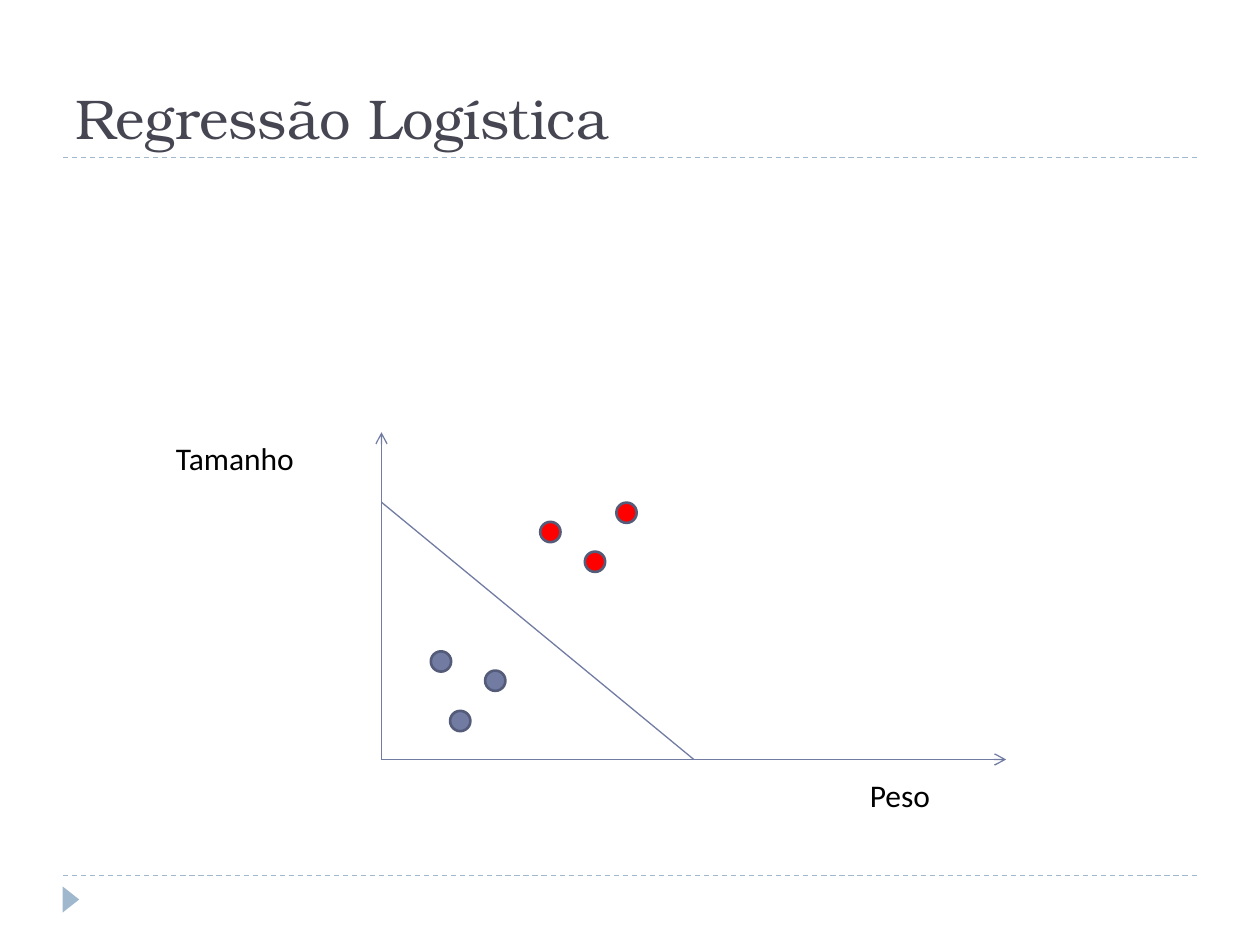
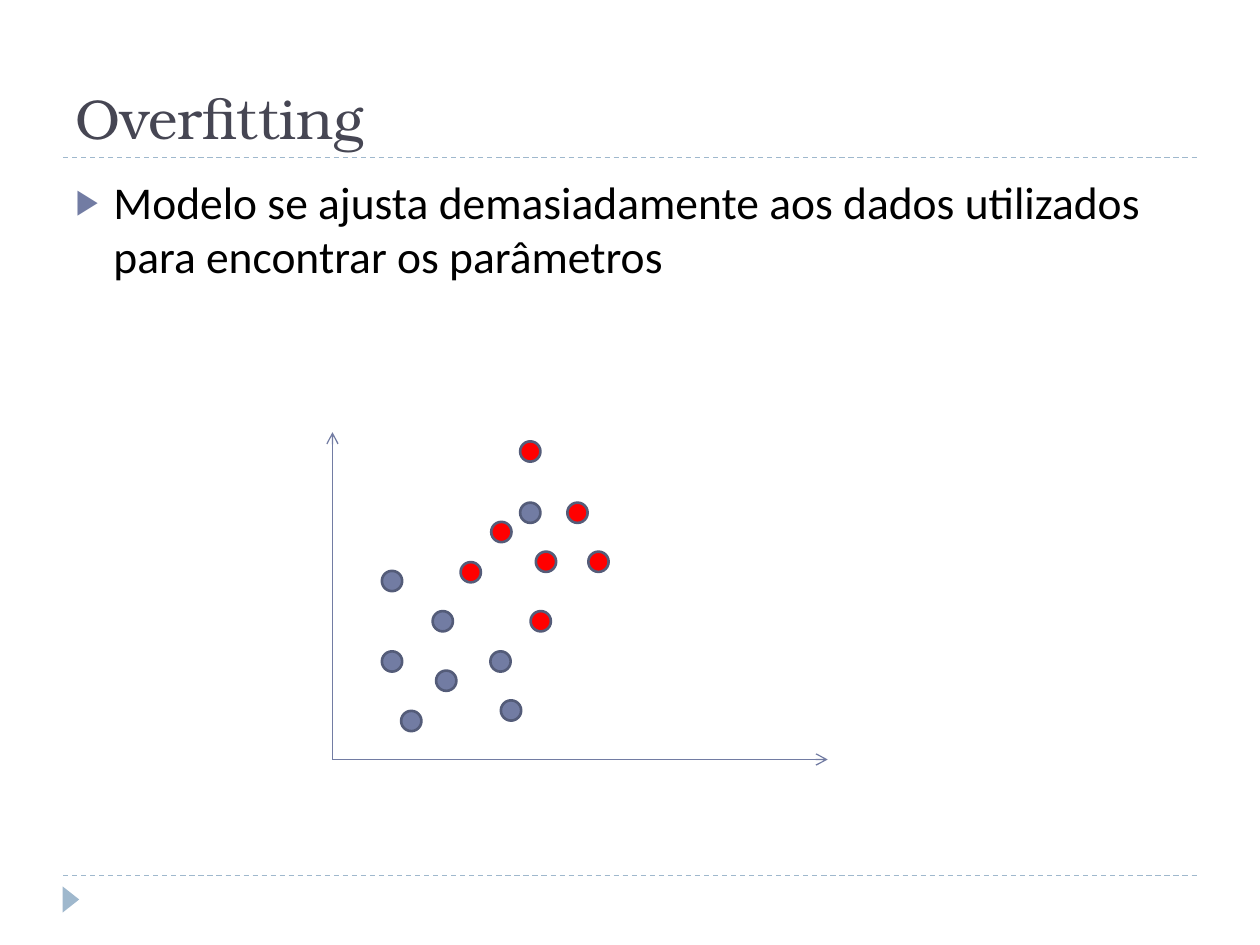
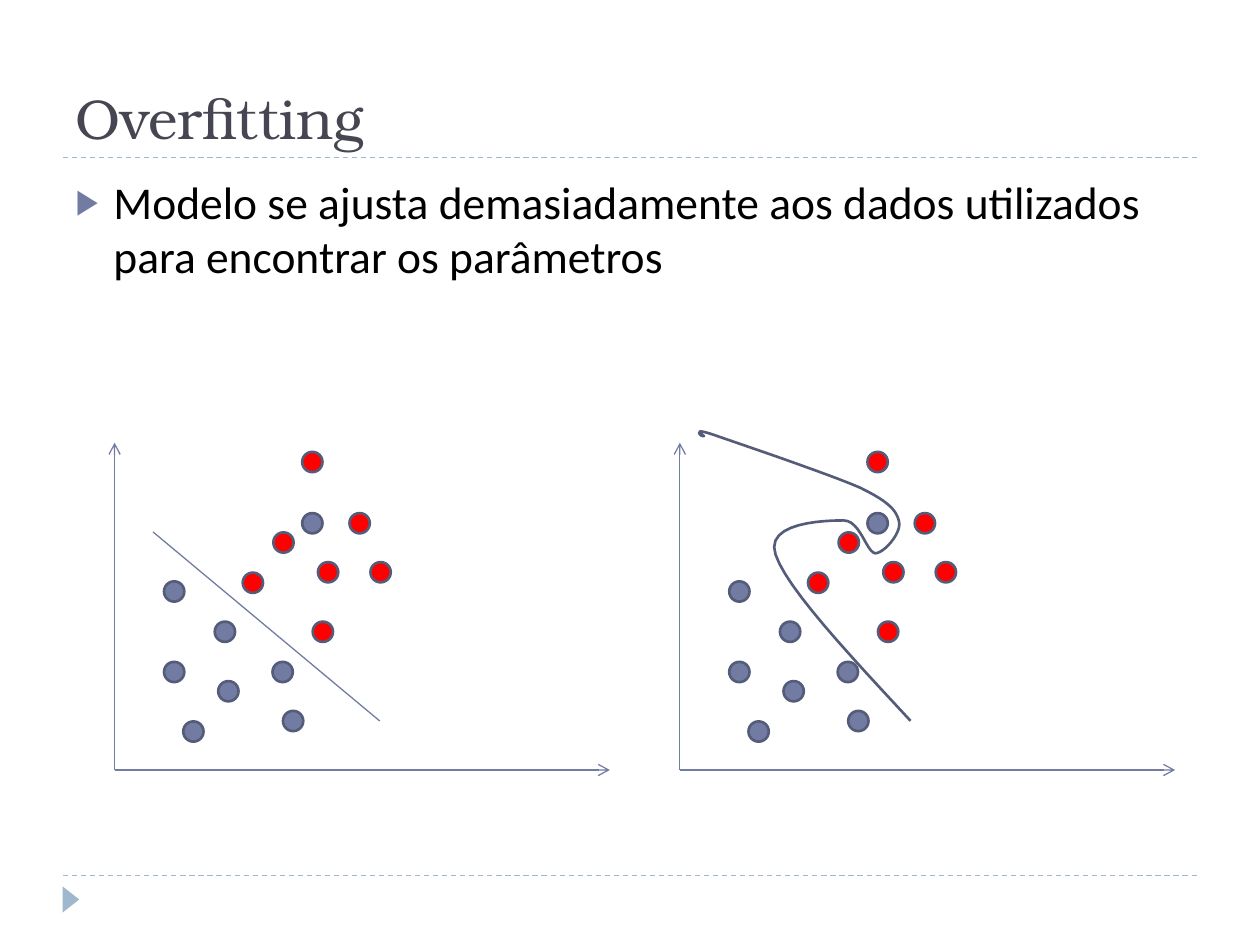
from dataclasses import dataclass

from lxml.etree import SubElement
from pptx import Presentation
from pptx.dml.color import RGBColor
from pptx.enum.dml import MSO_LINE
from pptx.enum.shapes import MSO_CONNECTOR, MSO_SHAPE
from pptx.enum.text import MSO_ANCHOR, MSO_AUTO_SIZE, PP_ALIGN
from pptx.oxml.ns import qn
from pptx.util import Pt


@dataclass(frozen=True)
class Theme:
    title_ink: str = "464653"
    text_ink: str = "000000"
    accent: str = "727CA3"
    outline: str = "545C79"
    trim: str = "9FB8CD"
    positive: str = "FF0000"
    title_font: str = "TeX Gyre Bonum"
    text_font: str = "Calibri"
    title_size: float = 32
    body_size: float = 26
    label_size: float = 18
    thin: float = 0.75
    thick: float = 1.5


THEME = Theme()

# Points are (x, y) from the origin of the axes, y upwards.
NEGATIVES = [(34, 56), (45, 22), (65, 45), (63, 79), (102, 28), (34, 102), (96, 56), (113, 141)]
POSITIVES = [(96.5, 130), (122, 113), (140, 141), (152, 113), (119, 79), (113, 176), (79, 107)]
OVERFIT_START = (131.8, 28.1)
OVERFIT_CURVES = [
    [(96.5, 66.2), (61.2, 103.7), (54.7, 123.1)],
    [(48.2, 141.8), (83.5, 142.6), (93.6, 142.6)],
    [(103, 142.6), (106.6, 124.6), (111.6, 123.8)],
    [(116.6, 123.8), (126.7, 135.4), (125.3, 141.8)],
    [(123.8, 147.6), (121, 152.6), (103, 161.3)],
    [(85, 169.2), (33.8, 186.5), (19.4, 191.5)],
    [(4.3, 196.6), (15.1, 190.1), (13.7, 190.8)],
    [(12.2, 190.8), (11.5, 191.5), (10.8, 193)],
]
OVERFITTING = "Modelo se ajusta demasiadamente aos dados utilizados para encontrar os parâmetros"

SLIDES = [
    {
        "title": "Regressão Logística",
        "plots": [{"origin": (218, 434), "width": 357, "per_class": 3,
                   "boundary": [(0, 147), (178.5, 0)]}],
        "labels": [("Peso", (490, 440, 108, 29)), ("Tamanho", (93.5, 247.5, 113, 29))],
    },
    {
        "title": "Overfitting",
        "body": OVERFITTING,
        "plots": [{"origin": (190, 434)}],
    },
    {
        "title": "Overfitting",
        "body": OVERFITTING,
        "plots": [{"origin": (65.5, 440), "boundary": [(22, 136), (151.5, 28)]},
                  {"origin": (388.5, 440), "overfit": True}],
    },
]

TITLE_BOX = (36, 12.25, 648, 77.75)
BODY_BOX = (36, 95.75, 648, 389)
RULE_SPAN = (36, 684)
RULE_HEIGHTS = (500.4, 90)
MARKER_BOX = (33, 509.25, 15, 9.5)
AXIS_WIDTH, AXIS_HEIGHT = 283, 187
DOT = 11.6
CURVE_STEPS = 12
BODY_INDENT = 21.6


def rgb(colour):
    return RGBColor.from_string(colour)


def box_pt(box):
    return [Pt(length) for length in box]


def apply(target, values):
    for name, value in values.items():
        setattr(target, name, value)


def write(frame, text, font, size, colour, **frame_format):
    apply(frame, {"word_wrap": True, "auto_size": MSO_AUTO_SIZE.NONE, **frame_format})
    paragraph = frame.paragraphs[0]
    paragraph.alignment = PP_ALIGN.LEFT
    run = paragraph.add_run()
    run.text = text
    apply(run.font, {"name": font, "size": Pt(size)})
    run.font.color.rgb = rgb(colour)
    return paragraph


def fill_placeholder(placeholder, box, *text_style, **frame_format):
    apply(placeholder, dict(zip(("left", "top", "width", "height"), box_pt(box))))
    return write(placeholder.text_frame, *text_style, **frame_format)


def add_bullet(paragraph):
    properties = paragraph._p.get_or_add_pPr()
    properties.set("marL", str(Pt(BODY_INDENT)))
    properties.set("indent", str(-Pt(BODY_INDENT)))
    colour = SubElement(properties, qn("a:buClr"))
    SubElement(colour, qn("a:srgbClr"), val=THEME.accent)
    SubElement(properties, qn("a:buSzPct"), val="76000")
    SubElement(properties, qn("a:buChar"), char="▶")


def add_line(slide, start, end, colour=THEME.accent, dash=None, arrow=False):
    line = slide.shapes.add_connector(MSO_CONNECTOR.STRAIGHT, *box_pt((*start, *end)))
    line.line.color.rgb = rgb(colour)
    apply(line.line, {"width": Pt(THEME.thin), "dash_style": dash})
    properties = line.element.spPr
    if arrow:
        SubElement(properties.find(qn("a:ln")), qn("a:tailEnd"), type="arrow")
    SubElement(properties, qn("a:effectLst"))
    return line


def paint(shape, fill=None, outline=None):
    shape.shadow.inherit = False
    for part, colour in ((shape.fill, fill), (shape.line.fill, outline)):
        if colour:
            part.solid()
            part.fore_color.rgb = rgb(colour)
        else:
            part.background()
    if outline:
        shape.line.width = Pt(THEME.thick)


def move_trim_to_master(slide, master):
    """Draw the dashed rules and the corner marker once, for all slides."""
    left, right = RULE_SPAN
    trim = [add_line(slide, (left, y), (right, y), THEME.trim, MSO_LINE.DASH)
            for y in RULE_HEIGHTS]
    marker = slide.shapes.add_shape(MSO_SHAPE.ISOSCELES_TRIANGLE, *box_pt(MARKER_BOX))
    marker.rotation = 90
    paint(marker, THEME.trim)
    for shape in (*trim, marker):
        master.shapes.element.append(shape.element)


def bezier(start, first, second, end, t):
    weights = ((1 - t) ** 3, 3 * t * (1 - t) ** 2, 3 * t * t * (1 - t), t ** 3)
    controls = (start, first, second, end)
    return tuple(sum(w * p[axis] for w, p in zip(weights, controls)) for axis in (0, 1))


def overfit_points():
    points = [OVERFIT_START]
    for curve in OVERFIT_CURVES:
        start = points[-1]
        points += [bezier(start, *curve, step / CURVE_STEPS)
                   for step in range(1, CURVE_STEPS + 1)]
    return points


def add_plot(slide, origin, width=AXIS_WIDTH, per_class=None, boundary=None, overfit=False):
    def place(point):
        return origin[0] + point[0], origin[1] - point[1]

    for tip in ((width, 0), (0, AXIS_HEIGHT)):
        add_line(slide, origin, place(tip), arrow=True)
    for colour, centres in ((THEME.accent, NEGATIVES), (THEME.positive, POSITIVES)):
        for centre in centres[:per_class]:
            x, y = place(centre)
            dot = slide.shapes.add_shape(
                MSO_SHAPE.OVAL, *box_pt((x - DOT / 2, y - DOT / 2, DOT, DOT)))
            paint(dot, colour, THEME.outline)
    if boundary:
        add_line(slide, *map(place, boundary))
    if overfit:
        start, *rest = [box_pt(place(point)) for point in overfit_points()]
        outline = slide.shapes.build_freeform(*start)
        outline.add_line_segments(rest, close=False)
        paint(outline.convert_to_shape(), outline=THEME.outline)


def add_slide(deck, title, plots, body=None, labels=()):
    slide = deck.slides.add_slide(deck.slide_layouts.get_by_name(
        "Title and Content" if body else "Title Only"))
    fill_placeholder(slide.shapes.title, TITLE_BOX, title, THEME.title_font,
                     THEME.title_size, THEME.title_ink, vertical_anchor=MSO_ANCHOR.BOTTOM)
    if body:
        paragraph = fill_placeholder(slide.placeholders[1], BODY_BOX, body, THEME.text_font,
                                     THEME.body_size, THEME.text_ink)
        paragraph.space_before = Pt(6)
        add_bullet(paragraph)
    for plot in plots:
        add_plot(slide, **plot)
    for text, box in labels:
        label = slide.shapes.add_textbox(*box_pt(box))
        write(label.text_frame, text, THEME.text_font, THEME.label_size, THEME.text_ink)
    return slide


def main():
    deck = Presentation()
    apply(deck, {"slide_width": Pt(720), "slide_height": Pt(540)})
    slides = [add_slide(deck, **content) for content in SLIDES]
    move_trim_to_master(slides[0], deck.slide_master)
    deck.save("out.pptx")


if __name__ == "__main__":
    main()
